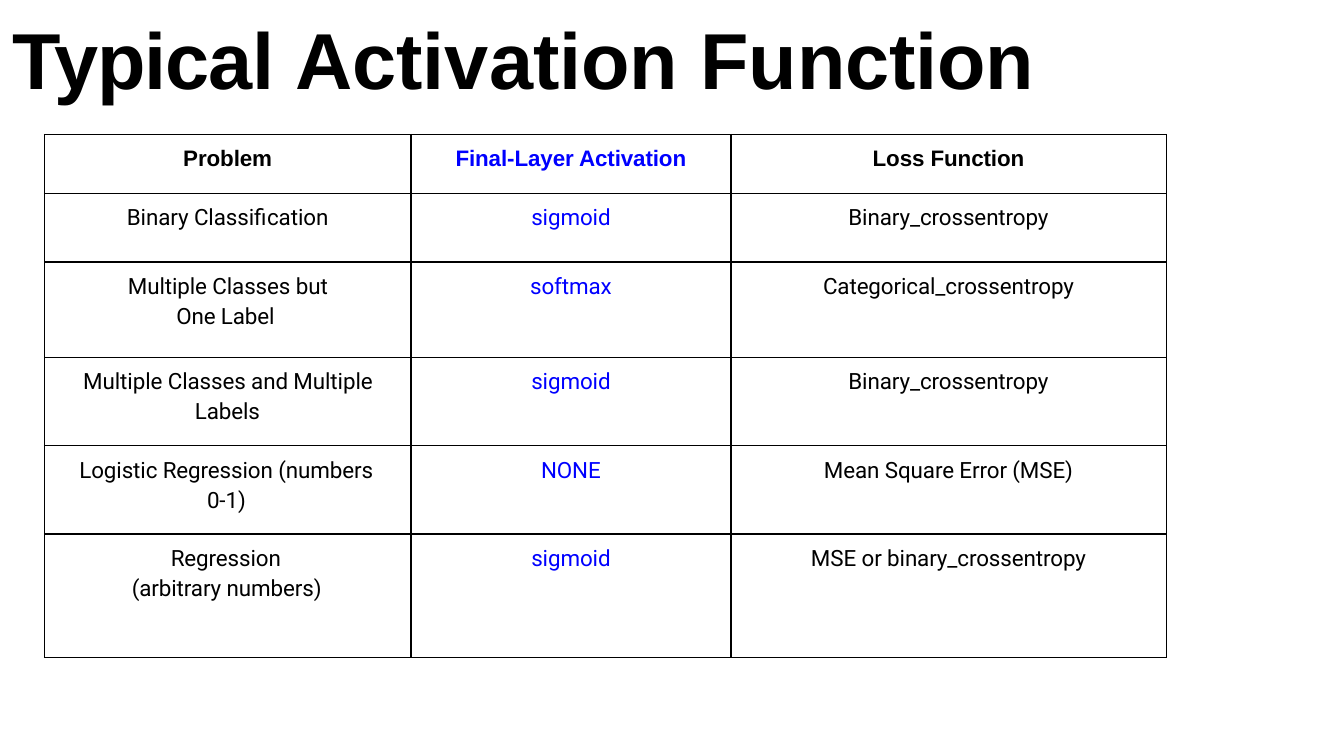
import pptx
import pptx.dml.color
import pptx.enum.text
import pptx.oxml.ns
import pptx.util
from lxml import etree

Pt = pptx.util.Pt
CENTER = pptx.enum.text.PP_ALIGN.CENTER

COLORS = {"text": "000000", "activation": "0000FF", "border": "000000"}
COLUMN_WIDTHS = [196.4, 171.4, 233.2]
ROW_HEIGHTS = [31.7, 36.7, 51, 47.5, 47.3, 66.2]
ROWS = [
    ("Problem", "Final-Layer Activation", "Loss Function"),
    ("Binary Classification", "sigmoid", "Binary_crossentropy"),
    ("Multiple Classes but One Label", "softmax", "Categorical_crossentropy"),
    ("Multiple Classes and Multiple Labels", "sigmoid", "Binary_crossentropy"),
    ("Logistic Regression (numbers 0-1)", "NONE", "Mean Square Error (MSE)"),
    ("Regression (arbitrary numbers)", "sigmoid", "MSE or binary_crossentropy"),
]
# Two-line problems by row: left margin, first-line indent, right margin
HANGING = {
    2: (70.6, -25.9, 36),
    3: (80.6, -59.8, 12),
    4: (87.1, -68.4, 12),
    5: (46.8, 20.9, 36),
}


def format_run(run, size, font_name, color, bold, spacing=0):
    run.font.size = Pt(size)
    run.font.name = font_name
    run.font.bold = bold
    run.font.color.rgb = pptx.dml.color.RGBColor.from_string(COLORS[color])
    if spacing:
        run.font._element.set("spc", str(round(spacing * 100)))


def add_title(slide, left, top, width, height):
    text_frame = slide.shapes.add_textbox(
        Pt(left), Pt(top), Pt(width), Pt(height)).text_frame
    text_frame.word_wrap = True
    text_frame.margin_left = Pt(0.9)
    text_frame.margin_top = Pt(1)
    text_frame.margin_right = text_frame.margin_bottom = 0
    paragraph = text_frame.paragraphs[0]
    paragraph.space_before = Pt(1)
    for text, spacing in (("Typical ", -0.5), ("Activation ", 0), ("Function", -0.1)):
        run = paragraph.add_run()
        run.text = text
        format_run(run, 42.5, "Arial", "text", True, spacing)


def set_borders(cell):
    properties = cell._tc.get_or_add_tcPr()
    qn = pptx.oxml.ns.qn
    for index, side in enumerate(("a:lnL", "a:lnR", "a:lnT", "a:lnB")):
        line = etree.Element(qn(side), w=str(Pt(0.75)))
        fill = etree.SubElement(line, qn("a:solidFill"))
        etree.SubElement(fill, qn("a:srgbClr"), val=COLORS["border"])
        properties.insert(index, line)


def fill_cell(cell, text, row, column):
    cell.fill.background()
    set_borders(cell)
    cell.margin_left = cell.margin_right = cell.margin_bottom = 0
    cell.margin_top = Pt(6.2)
    cell.text_frame.text = text
    paragraph = cell.text_frame.paragraphs[0]
    paragraph.space_before = Pt(6.2)
    if column == 0 and row in HANGING:
        left, indent, right = HANGING[row]
        cell.margin_top = paragraph.space_before = Pt(4.2)
        cell.margin_right = Pt(right)
        paragraph.line_spacing = 1.15
        properties = paragraph._p.get_or_add_pPr()
        properties.set("marL", str(Pt(left)))
        properties.set("indent", str(Pt(indent)))
    else:
        paragraph.alignment = CENTER
    header = row == 0
    format_run(paragraph.runs[0], 12, "Arial" if header else "Roboto",
               "activation" if column == 1 else "text", header, -0.05)


def add_activation_table(slide, left, top):
    table = slide.shapes.add_table(
        len(ROWS), len(COLUMN_WIDTHS), Pt(left), Pt(top),
        Pt(sum(COLUMN_WIDTHS)), Pt(sum(ROW_HEIGHTS))).table
    table.first_row = table.horz_banding = False
    for column, width in zip(table.columns, COLUMN_WIDTHS):
        column.width = Pt(width)
    for row, height in zip(table.rows, ROW_HEIGHTS):
        row.height = Pt(height)
    for row, texts in enumerate(ROWS):
        for column, text in enumerate(texts):
            fill_cell(table.cell(row, column), text, row, column)


def main():
    presentation = pptx.Presentation()
    presentation.slide_width = Pt(720)
    presentation.slide_height = Pt(405)
    slide = presentation.slides.add_slide(presentation.slide_layouts[6])
    add_activation_table(slide, 23.8, 72)
    add_title(slide, 5.8, 4.3, 551.5, 53.3)
    presentation.save("out.pptx")


if __name__ == "__main__":
    main()
